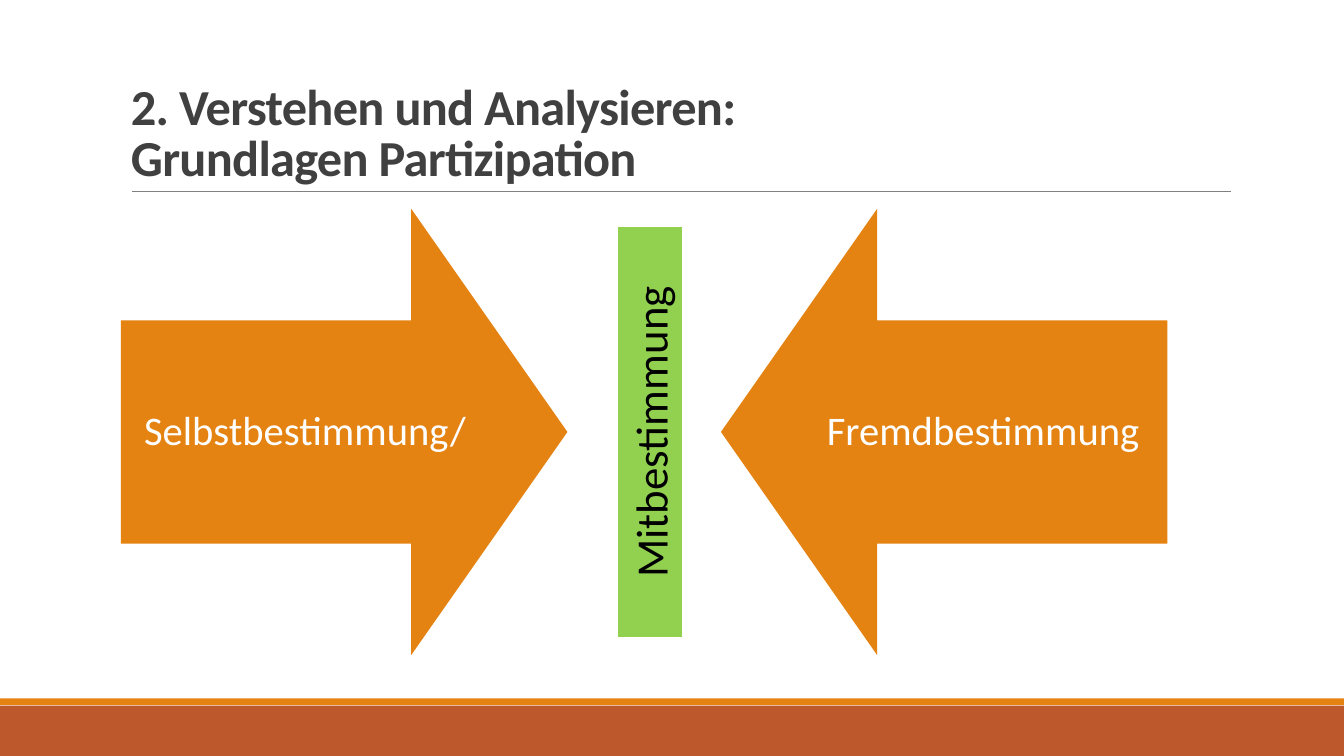
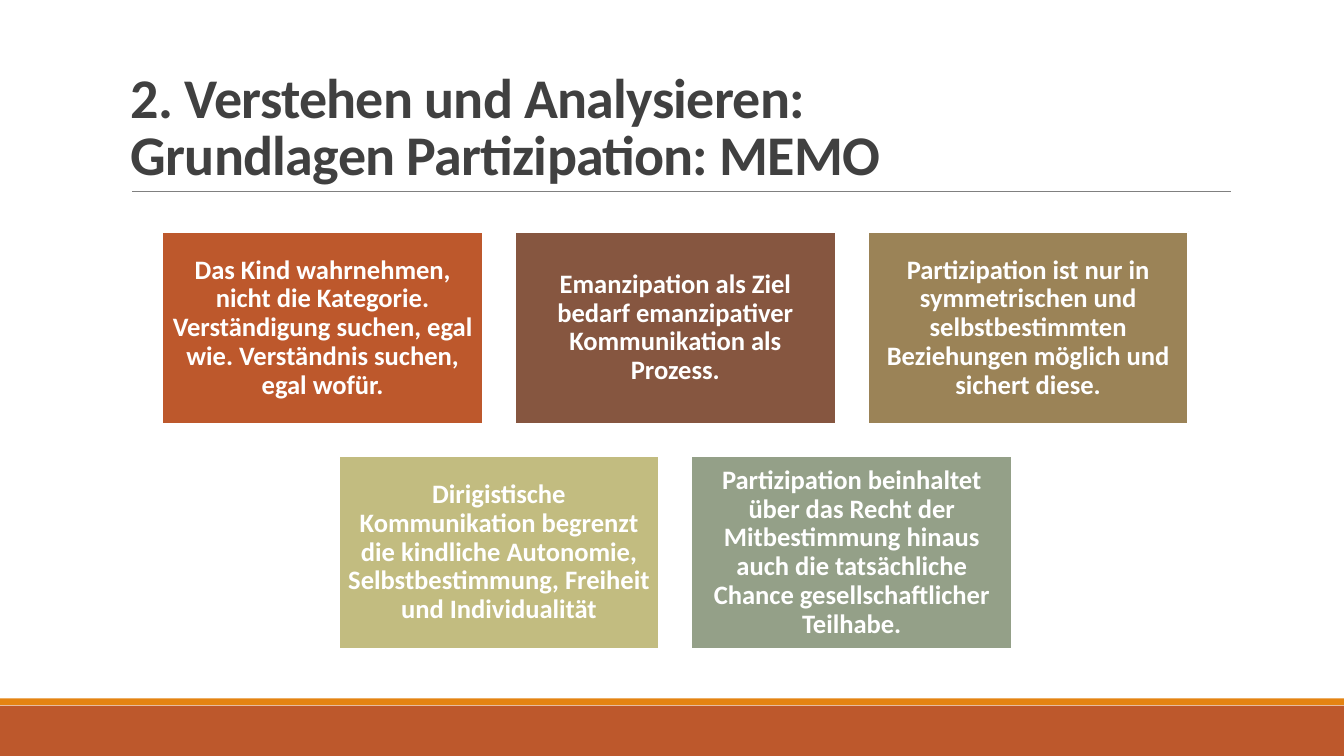
"""Build two slides on participation: opposing arrows and a memo of cards."""
from pptx import Presentation
from pptx.dml.color import RGBColor
from pptx.enum.shapes import MSO_CONNECTOR as Link, MSO_SHAPE as Form
from pptx.enum.text import MSO_ANCHOR as Anchor, PP_ALIGN as Align
from pptx.oxml.ns import qn
from pptx.util import Cm, Pt
from lxml.etree import SubElement

RUST = RGBColor(0xBD, 0x58, 0x2C)
ORANGE = RGBColor(0xE4, 0x83, 0x12)
BROWN = RGBColor(0x86, 0x56, 0x40)
TAN = RGBColor(0x9B, 0x83, 0x57)
KHAKI = RGBColor(0xC2, 0xBC, 0x80)
SAGE = RGBColor(0x94, 0xA0, 0x88)
GREEN = RGBColor(0x92, 0xD0, 0x50)
GRAY = RGBColor(0x80, 0x80, 0x80)
DARK = RGBColor(0x40, 0x40, 0x40)
BLACK = RGBColor(0, 0, 0)
WHITE = RGBColor(0xFF, 0xFF, 0xFF)

WIDTH, HEIGHT = 33.87, 19.05
TITLE = (3.05, 0.79, 27.94, 4.04)
ARROWS = (3.05, 5.26, 26.37, 11.25)
MEMO = (4.09, 5.84, 25.86, 10.51)
GAP = 0.81
CARDS = [
    [
        ("Das Kind wahrnehmen, nicht die Kategorie. Verständigung suchen, "
         "egal wie. Verständnis suchen, egal wofür.", RUST),
        ("Emanzipation als Ziel bedarf emanzipativer Kommunikation als "
         "Prozess.", BROWN),
        ("Partizipation ist nur in symmetrischen und selbstbestimmten "
         "Beziehungen möglich und sichert diese.", TAN),
    ],
    [
        ("Dirigistische Kommunikation begrenzt die kindliche Autonomie, "
         "Selbstbestimmung, Freiheit und Individualität", KHAKI),
        ("Partizipation beinhaltet über das Recht der Mitbestimmung hinaus "
         "auch die tatsächliche Chance gesellschaftlicher Teilhabe.", SAGE),
    ],
]


def style(item, values):
    """Set each attribute named in a dict."""
    for name, value in values.items():
        setattr(item, name, value)


def write(shape, text, size, color, bold=False, inset=None, para=None, **frame):
    """Put one paragraph of text into a shape and return it."""
    body = shape.text_frame
    style(body, {"word_wrap": True, "vertical_anchor": Anchor.MIDDLE, **frame})
    if inset is not None:
        sides = ("left", "top", "right", "bottom")
        style(body, {f"margin_{side}": Cm(inset) for side in sides})
    line = body.paragraphs[0]
    line.text = text
    style(line, {"alignment": Align.CENTER, **(para or {})})
    for run in line.runs:
        style(run.font, {"name": "Calibri", "size": Pt(size), "bold": bold})
        run.font.color.rgb = color
    return line


def draw(slide, form, box, fill, edge=None):
    """Add a flat filled shape, with a white edge if a width is given."""
    shape = slide.shapes.add_shape(form, *map(Cm, box))
    shape.shadow.inherit = False
    shape.fill.solid()
    shape.fill.fore_color.rgb = fill
    if edge:
        shape.line.color.rgb = WHITE
        shape.line.width = Pt(edge)
    else:
        shape.line.fill.background()
    return shape


def frame(deck, title, size):
    """Add a slide with its bands, rule and title."""
    slide = deck.slides.add_slide(deck.slide_layouts[6])
    draw(slide, Form.RECTANGLE, (0, 17.78, WIDTH, 1.27), RUST)
    draw(slide, Form.RECTANGLE, (0, 17.6, WIDTH, 0.17), ORANGE)
    left, top, width, height = TITLE
    base = top + height
    ends = (left + 0.28, base, left + width + 0.02, base)
    rule = slide.shapes.add_connector(Link.STRAIGHT, *map(Cm, ends))
    rule.line.color.rgb = GRAY
    rule.line.width = Pt(0.5)
    SubElement(rule._element.spPr, qn("a:effectLst"))
    head = slide.shapes.add_textbox(*map(Cm, TITLE))
    line = write(head, title, size, DARK, bold=True,
                 para={"alignment": Align.LEFT, "line_spacing": 0.85},
                 vertical_anchor=Anchor.BOTTOM)
    for run in line.runs:
        run.font._element.set("spc", "-50")
    return slide


def clash(slide, box):
    """Place two facing arrows and the upright bar between them."""
    left, top, width, side = box
    pair = [(Form.RIGHT_ARROW, left, "Selbstbestimmung/"),
            (Form.LEFT_ARROW, left + width - side, "Fremdbestimmung")]
    for form, x, text in pair:
        arrow = draw(slide, form, (x, top, side, side), ORANGE)
        arrow.adjustments[0] = 0.5
        arrow.adjustments[1] = 0.35
        write(arrow, text, 29, WHITE, inset=0.58,
              para={"line_spacing": 0.9}, word_wrap=False)
    long, thick = 10.36, 1.63
    mid = left + width / 2 + 0.15
    spot = (mid - long / 2, top + (side - thick) / 2, long, thick)
    bar = draw(slide, Form.RECTANGLE, spot, GREEN, 0.75)
    bar.rotation = 270
    write(bar, "Mitbestimmung", 32, BLACK, vertical_anchor=Anchor.TOP)


def memo(slide, box, rows):
    """Place rows of equal cards, each row centred in the box."""
    left, top, width, height = box
    most = max(map(len, rows))
    wide = (width - GAP * (most - 1)) / most
    high = (height - GAP * (len(rows) - 1)) / len(rows)
    for i, row in enumerate(rows):
        start = left + (most - len(row)) * (wide + GAP) / 2
        for j, (text, fill) in enumerate(row):
            spot = (start + j * (wide + GAP), top + i * (high + GAP), wide, high)
            card = draw(slide, Form.RECTANGLE, spot, fill, 1.25)
            write(card, text, 19, WHITE, bold=True, inset=0.2,
                  para={"line_spacing": 0.9})


def main():
    """Build and save the deck."""
    deck = Presentation()
    style(deck, {"slide_width": Cm(WIDTH), "slide_height": Cm(HEIGHT)})
    title = "2. Verstehen und Analysieren:\vGrundlagen Partizipation"
    clash(frame(deck, title, 36), ARROWS)
    memo(frame(deck, title + ": MEMO", 40), MEMO, CARDS)
    deck.save("out.pptx")


if __name__ == "__main__":
    main()
